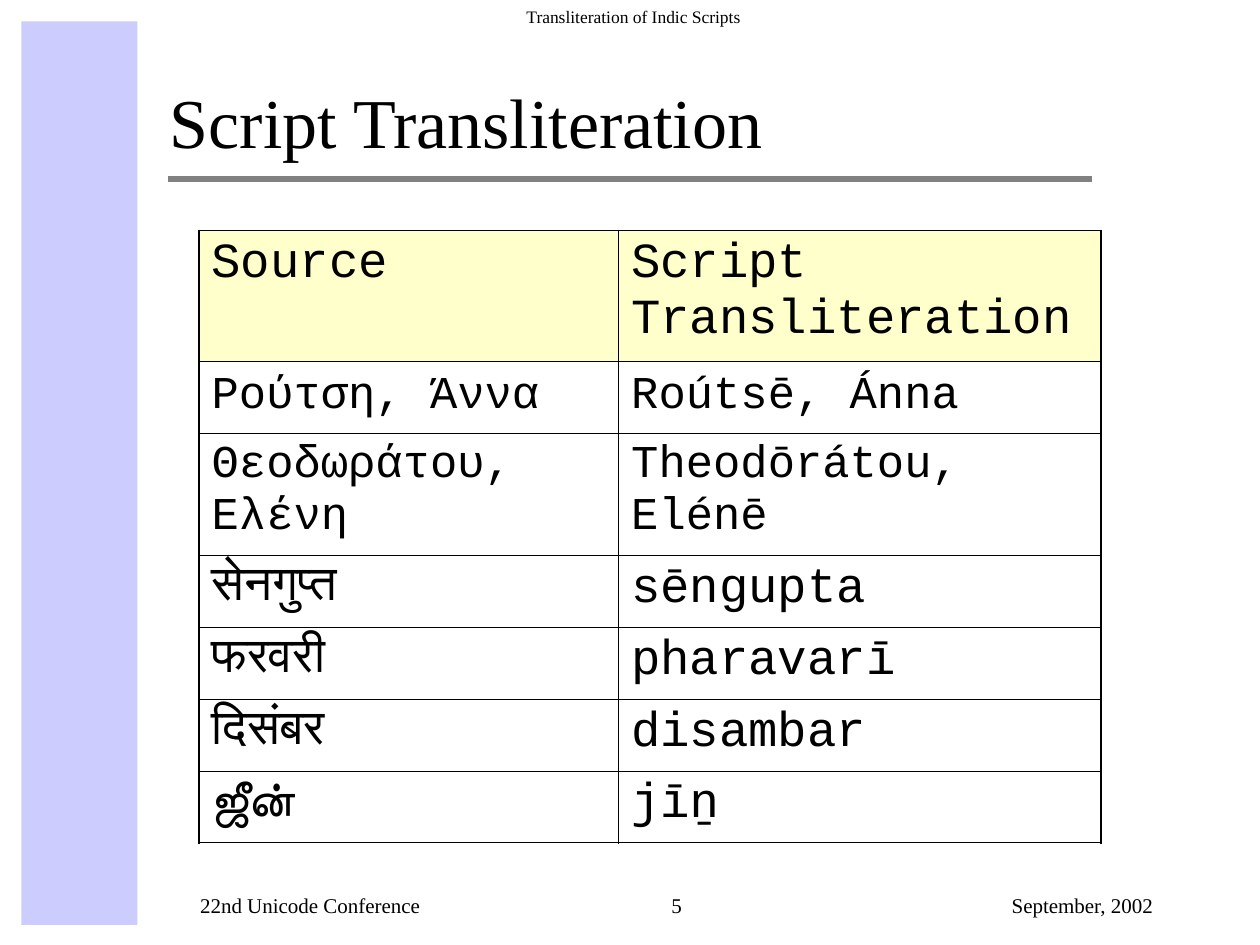
from dataclasses import dataclass

from lxml.etree import SubElement
from pptx import Presentation
from pptx.dml.color import RGBColor
from pptx.enum.shapes import MSO_CONNECTOR, MSO_SHAPE
from pptx.enum.text import MSO_ANCHOR as Anchor, PP_ALIGN as Align
from pptx.oxml.ns import qn
from pptx.util import Inches, Pt

SERIF, MONO, SANS = "Times New Roman", "Courier New", "Arial"
BLACK, LAVENDER, CREAM, GRAY = "000000", "CCCCFF", "FFFFCC", "808080"
OUTER, INNER = 1.08, 0.45


@dataclass(frozen=True)
class Label:
    text: str
    left: float
    top: float
    width: float
    height: float
    size: float
    align: Align = Align.LEFT
    anchor: Anchor = Anchor.BOTTOM
    indent: float = 0
    wrap: bool = True


@dataclass(frozen=True)
class Pair:
    source: str
    latin: str
    height: float = 0.57
    size: float = 28
    source_font: str = MONO
    inset: float = 0.05


LABELS = [
    Label("Transliteration of Indic Scripts", 4.08, 0, 1.92, 0.27, 10,
          anchor=Anchor.TOP, wrap=False),
    Label("Script Transliteration", 1.25, 0.17, 7.42, 1.17, 40),
    Label("22nd Unicode Conference", 1.25, 6.83, 3.67, 0.5, 12, indent=0.24),
    Label("5", 5, 6.83, 0.5, 0.5, 12, Align.CENTER, indent=0.24),
    Label("September, 2002", 5.58, 6.83, 3.67, 0.5, 12, Align.RIGHT, indent=0.24),
]
PAIRS = [
    Pair("Source", "Script Transliteration", height=1.04),
    Pair("Ρούτση, Άννα", "Roútsē, Ánna", size=26, inset=0.07),
    Pair("Θεοδωράτου, Ελένη", "Theodōrátou, Elénē", height=0.97, size=26),
    Pair("सेनगुप्त", "sēngupta", source_font=SANS),
    Pair("फरवरी", "pharavarī", source_font=SANS),
    Pair("दिसंबर", "disambar", source_font=SANS),
    Pair("ஜீன்", "jīṉ"),
]
COLUMNS = [3.33, 3.83]


def color(value: str) -> RGBColor:
    return RGBColor.from_string(value)


def add_run(paragraph, text: str, font: str, size: float) -> None:
    run = paragraph.add_run()
    run.text = text
    run.font.name = font
    run.font.size = Pt(size)
    run.font.color.rgb = color(BLACK)


def add_label(slide, label: Label) -> None:
    box = slide.shapes.add_textbox(Inches(label.left), Inches(label.top),
                                   Inches(label.width), Inches(label.height))
    frame = box.text_frame
    frame.word_wrap = label.wrap
    frame.vertical_anchor = label.anchor
    paragraph = frame.paragraphs[0]
    paragraph.alignment = label.align
    if label.indent:
        properties = paragraph._p.get_or_add_pPr()
        properties.set("marL", str(Inches(label.indent)))
        properties.set("indent", "0")
    add_run(paragraph, label.text, SERIF, label.size)


def add_border(cell, side: str, width: float) -> None:
    line = SubElement(cell._tc.get_or_add_tcPr(), qn(f"a:ln{side}"), w=str(Pt(width)))
    SubElement(SubElement(line, qn("a:solidFill")), qn("a:srgbClr"), val=BLACK)


def fill_cell(cell, pair: Pair, row: int, column: int) -> None:
    edges = {"L": column == 0, "R": column == len(COLUMNS) - 1,
             "T": row == 0, "B": row == len(PAIRS) - 1}
    for side, is_outer in edges.items():
        add_border(cell, side, OUTER if is_outer else INNER)
    if row == 0:
        cell.fill.solid()
        cell.fill.fore_color.rgb = color(CREAM)
    else:
        cell.fill.background()
    cell.margin_left = cell.margin_right = Inches(0.1)
    cell.margin_top, cell.margin_bottom = Inches(pair.inset), Inches(0.05)
    text, font = [(pair.source, pair.source_font), (pair.latin, MONO)][column]
    add_run(cell.text_frame.paragraphs[0], text, font, pair.size)


def add_pairs(slide) -> None:
    height = sum(pair.height for pair in PAIRS)
    table = slide.shapes.add_table(len(PAIRS), len(COLUMNS), Inches(1.58), Inches(1.83),
                                   Inches(sum(COLUMNS)), Inches(height)).table
    table.first_row = table.horz_banding = False
    for column, width in enumerate(COLUMNS):
        table.columns[column].width = Inches(width)
    for row, pair in enumerate(PAIRS):
        table.rows[row].height = Inches(pair.height)
        for column in range(len(COLUMNS)):
            fill_cell(table.cell(row, column), pair, row, column)


def add_decoration(slide) -> None:
    band = slide.shapes.add_shape(MSO_SHAPE.RECTANGLE, Inches(0.17), Inches(0.17),
                                  Inches(0.92), Inches(7.17))
    band.shadow.inherit = False
    band.fill.solid()
    band.fill.fore_color.rgb = color(LAVENDER)
    band.line.fill.background()
    rule = slide.shapes.add_connector(MSO_CONNECTOR.STRAIGHT, Inches(1.33), Inches(1.42),
                                      Inches(8.67), Inches(1.42))
    rule.line.color.rgb = color(GRAY)
    rule.line.width = Pt(3)
    SubElement(rule._element.spPr, qn("a:effectLst"))


def main() -> None:
    deck = Presentation()
    deck.slide_width, deck.slide_height = Inches(10), Inches(7.5)
    slide = deck.slides.add_slide(deck.slide_layouts[6])
    add_decoration(slide)
    for label in LABELS:
        add_label(slide, label)
    add_pairs(slide)
    deck.save("out.pptx")


if __name__ == "__main__":
    main()
